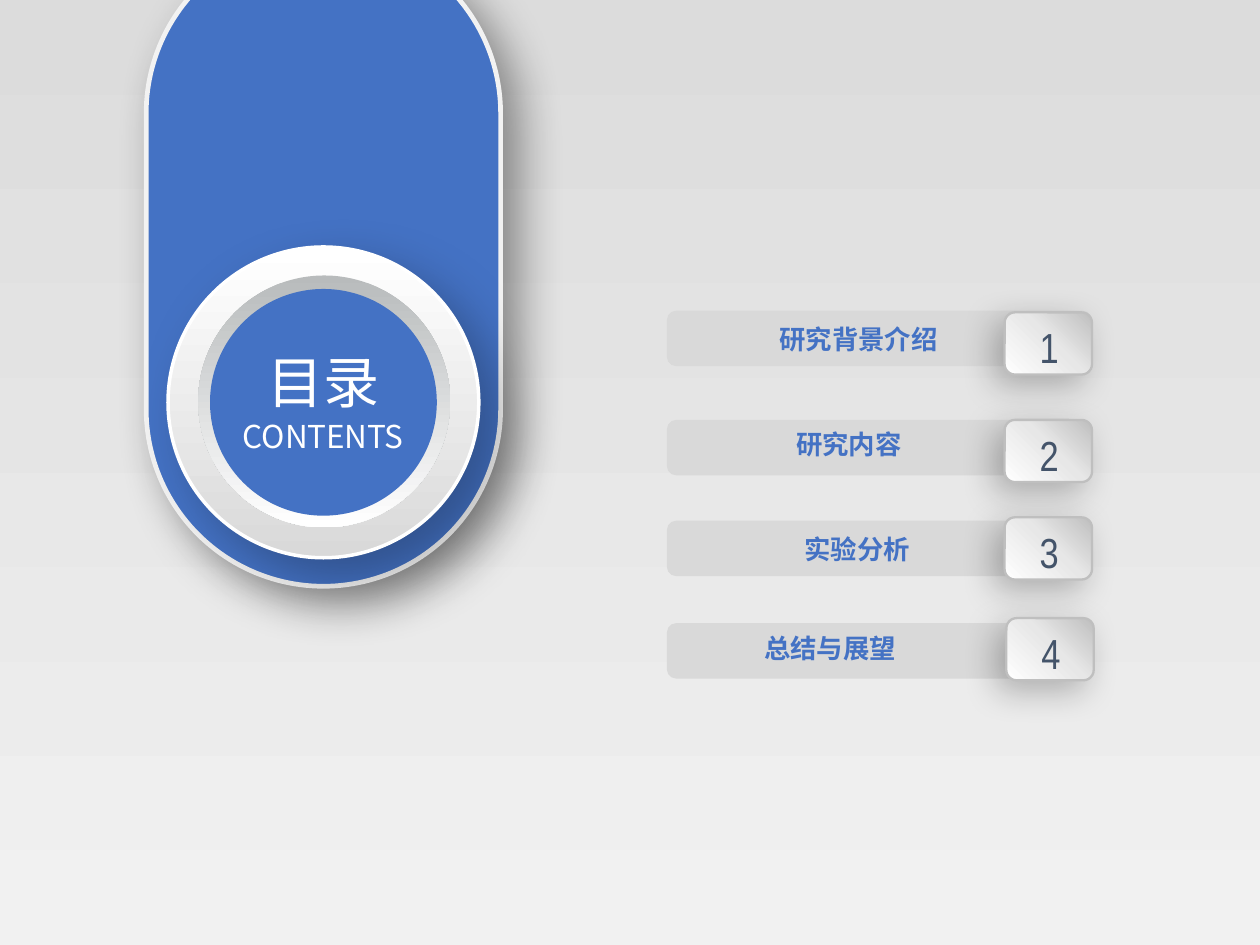
from lxml import etree
from pptx import Presentation
from pptx.dml.color import RGBColor
from pptx.enum.shapes import MSO_SHAPE
from pptx.enum.text import MSO_ANCHOR, MSO_AUTO_SIZE, PP_ALIGN
from pptx.oxml.ns import qn
from pptx.util import Inches, Pt

ROUNDED, OVAL = MSO_SHAPE.ROUNDED_RECTANGLE, MSO_SHAPE.OVAL
MIDDLE, NO_FIT = MSO_ANCHOR.MIDDLE, MSO_AUTO_SIZE.NONE
LEFT, CENTER = PP_ALIGN.LEFT, PP_ALIGN.CENTER
CJK, NARROW = "Noto Sans CJK SC", "Arial Narrow"
BLUE, SLATE, WHITE = "4472C4", "44546A", "FFFFFF"
SILVER, BAR_GRAY = "BFBFBF", "D9D9D9"
TILE_STOPS = [(0, WHITE), (55, "E7E7E7"), (100, SILVER)]

# topic, bar top, label left, label top, tile left, tile top
AGENDA = [
    ("研究背景介绍", 1.85, 4.64, 1.87, 5.98, 1.86),
    ("研究内容", 2.5, 4.74, 2.5, 5.98, 2.5),
    ("实验分析", 3.1, 4.79, 3.12, 5.98, 3.08),
    ("总结与展望", 3.71, 4.55, 3.71, 5.99, 3.68),
]


def color(hex_text):
    """Turn a hex string into a colour."""
    return RGBColor.from_string(hex_text)


def set_gradient(fill, owner, stops, angle):
    """Give the fill inside owner a linear gradient, angle clockwise in degrees."""
    fill.solid()
    solid = next(owner.iter(qn("a:solidFill")))
    gradient = etree.Element(qn("a:gradFill"), rotWithShape="1")
    stop_list = etree.SubElement(gradient, qn("a:gsLst"))
    for percent, tone in stops:
        stop = etree.SubElement(stop_list, qn("a:gs"), pos=str(percent * 1000))
        etree.SubElement(stop, qn("a:srgbClr"), val=tone)
    etree.SubElement(gradient, qn("a:lin"), ang=str(angle * 60000), scaled="0")
    solid.getparent().replace(solid, gradient)


def add_shadow(shape, opacity, blur, distance, angle):
    """Cast a black outer shadow, lengths in points."""
    effects = shape.element.spPr.find(qn("a:effectLst"))
    shadow = etree.SubElement(
        effects, qn("a:outerShdw"), blurRad=str(Pt(blur)), dist=str(Pt(distance)),
        dir=str(angle * 60000), algn="ctr", rotWithShape="0")
    black = etree.SubElement(shadow, qn("a:srgbClr"), val="000000")
    etree.SubElement(black, qn("a:alpha"), val=str(opacity * 1000))


def add_panel(slide, kind, box, fill, line=None, shadow=None, roundness=None):
    """Add a shape with a flat or (stops, angle) fill, an outline and a shadow."""
    panel = slide.shapes.add_shape(kind, *map(Inches, box))
    if roundness is not None:
        panel.adjustments[0] = roundness
    if isinstance(fill, str):
        panel.fill.solid()
        panel.fill.fore_color.rgb = color(fill)
    else:
        set_gradient(panel.fill, panel.element.spPr, *fill)
    if line:
        panel.line.color.rgb = color(line[0])
        panel.line.width = Pt(line[1])
    else:
        panel.line.fill.background()
    panel.shadow.inherit = False
    if shadow:
        add_shadow(panel, *shadow)


def write_text(holder, text, size, tone, font=CJK, align=CENTER, bold=False):
    """Write one vertically centred line into a text holder."""
    frame = holder.text_frame
    frame.word_wrap = True
    frame.auto_size = NO_FIT
    frame.vertical_anchor = MIDDLE
    frame.margin_left = frame.margin_right = 0
    frame.margin_top = frame.margin_bottom = 0
    paragraph = frame.paragraphs[0]
    paragraph.alignment = align
    run = paragraph.add_run()
    run.text = text
    run.font.size = Pt(size)
    run.font.bold = bold
    run.font.name = font
    run.font.color.rgb = color(tone)
    properties = next(holder.element.iter(qn("a:rPr")))
    etree.SubElement(properties, qn("a:ea"), typeface=font)


def add_label(slide, box, *text_style, **options):
    """Add a text box holding one line."""
    label = slide.shapes.add_textbox(*map(Inches, box))
    write_text(label, *text_style, **options)


def add_heading_badge(slide, left, top):
    """Draw the hanging blue pill with the round heading button."""
    add_panel(slide, ROUNDED, (left, top, 2.11, 3.87), BLUE, ("F2F2F2", 2),
              (40, 20, 10, 45), roundness=0.5)
    add_panel(slide, OVAL, (left + 0.13, top + 1.85, 1.85, 1.85),
              ([(0, WHITE), (100, BAR_GRAY)], 90), (WHITE, 1.5), (28, 22, 12, 45))
    add_panel(slide, OVAL, (left + 0.31, top + 2.02, 1.5, 1.5),
              ([(0, "B8BBBC"), (100, WHITE)], 90))
    add_panel(slide, OVAL, (left + 0.38, top + 2.1, 1.35, 1.35), BLUE)
    add_label(slide, (left + 0.14, top + 2.81, 1.83, 0.33), "CONTENTS", 13.5, WHITE)
    title = slide.shapes.title
    title.left, title.top = Inches(left + 0.14), Inches(top + 2.4)
    title.width, title.height = Inches(1.83), Inches(0.5)
    write_text(title, "目录", 24, WHITE)
    title.element.getparent().append(title.element)


def add_agenda(slide, left):
    """Draw the gray bars, their topics and the numbered tiles."""
    for number, row in enumerate(AGENDA, 1):
        topic, bar_top, label_left, label_top, tile_left, tile_top = row
        add_panel(slide, ROUNDED, (left, bar_top, 2.53, 0.33), BAR_GRAY)
        add_label(slide, (label_left, label_top, 1.2, 0.29), topic, 11.25, BLUE,
                  align=LEFT, bold=True)
        add_panel(slide, ROUNDED, (tile_left, tile_top, 0.52, 0.37),
                  (TILE_STOPS, 315), (SILVER, 1), (25, 15, 6, 135))
        add_label(slide, (tile_left + 0.14, tile_top + 0.04, 0.25, 0.33),
                  str(number), 18, SLATE, font=NARROW)


def main():
    """Build the contents slide."""
    deck = Presentation()
    deck.slide_width = Inches(7.5)
    deck.slide_height = deck.slide_width * 3 // 4
    slide = deck.slides.add_slide(deck.slide_layouts.get_by_name("Title Only"))
    set_gradient(slide.background.fill, slide.element,
                 [(0, "DCDCDC"), (100, "F1F1F1")], 90)
    add_agenda(slide, 3.97)
    add_heading_badge(slide, 0.87, -0.38)
    deck.save("out.pptx")


if __name__ == "__main__":
    main()
